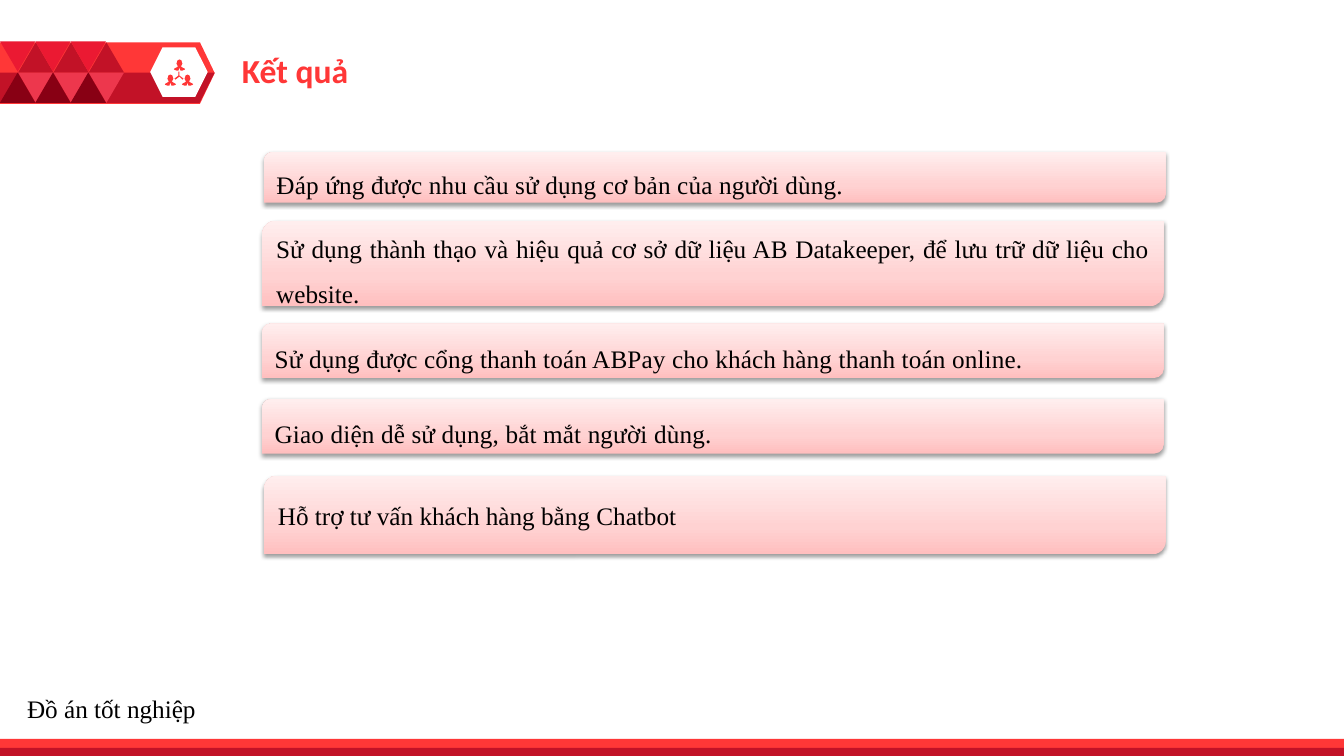
from dataclasses import dataclass
from typing import Any

from pptx import Presentation
from pptx.dml.color import RGBColor
from pptx.enum.shapes import MSO_SHAPE as Kind
from pptx.enum.text import MSO_ANCHOR as Anchor, PP_ALIGN as Align
from pptx.oxml import parse_xml
from pptx.oxml.ns import nsdecls
from pptx.util import Inches, Pt

RED = RGBColor(0xFF, 0x37, 0x37)
DARK = RGBColor(0xC2, 0x12, 0x27)
WHITE = RGBColor(0xFF, 0xFF, 0xFF)
BLACK = RGBColor(0x00, 0x00, 0x00)
CRIMSON = RGBColor(0xEB, 0x19, 0x32)
ROSE = RGBColor(0xED, 0x37, 0x4D)
MAROON = RGBColor(0x88, 0x00, 0x14)
BLUSH = {0: RGBColor(0xFF, 0xBF, 0xBF), 35: RGBColor(0xFF, 0xD2, 0xD2),
         100: RGBColor(0xFF, 0xEE, 0xEE)}

BODY = {"size": Pt(18), "name": "Times New Roman"}
HEAD = {"size": Pt(24), "name": "Calibri", "bold": True}
LOOSE = {"line_spacing": 1.5, "space_before": Pt(4), "space_after": Pt(4)}
EVEN = {**LOOSE, "alignment": Align.JUSTIFY}
LEFT = {**LOOSE, "alignment": Align.LEFT}
PLAIN = {"alignment": Align.LEFT}

Point = tuple[float, float]


@dataclass
class Box:
    left: float
    top: float
    width: float
    height: float

    def place(self) -> list[int]:
        return [Inches(v) for v in (self.left, self.top, self.width, self.height)]


@dataclass
class Tile:
    shift: float
    top: float
    color: RGBColor
    turn: int


@dataclass
class Bar:
    box: Box
    text: str
    layout: dict[str, Any]
    track: int = 0


def apply(target: Any, values: dict[str, Any]) -> None:
    for key, value in values.items():
        setattr(target, key, value)


def paint(shape: Any, color: RGBColor) -> None:
    shape.fill.solid()
    shape.fill.fore_color.rgb = color
    shape.line.fill.background()
    shape.shadow.inherit = False


def draw(shapes: Any, kind: Kind, box: Box, color: RGBColor) -> Any:
    shape = shapes.add_shape(kind, *box.place())
    paint(shape, color)
    return shape


def trace(shapes: Any, rings: list[list[Point]], color: RGBColor) -> None:
    rings = [[(Inches(x), Inches(y)) for x, y in ring] for ring in rings]
    pen = shapes.build_freeform(*rings[0][0])
    pen.add_line_segments(rings[0][1:])
    for ring in rings[1:]:
        pen.move_to(*ring[0])
        pen.add_line_segments(ring[1:])
    paint(pen.convert_to_shape(), color)


def write(frame: Any, text: str, font: dict[str, Any], color: RGBColor,
          layout: dict[str, Any]) -> Any:
    frame.word_wrap = True
    para = frame.paragraphs[0]
    apply(para, layout)
    run = para.add_run()
    run.text = text
    apply(run.font, font)
    run.font.color.rgb = color
    return run


def label(shapes: Any, box: Box, text: str, font: dict[str, Any],
          color: RGBColor) -> None:
    frame = shapes.add_textbox(*box.place()).text_frame
    write(frame, text, font, color, PLAIN)


def panel(shapes: Any, bar: Bar) -> None:
    shape = draw(shapes, Kind.ROUND_2_DIAG_RECTANGLE, bar.box, WHITE)
    # Gradient that rises from the lower edge, and a soft shadow below
    stops = "".join(f'<a:gs pos="{at * 1000}"><a:srgbClr val="{color}"/></a:gs>'
                    for at, color in BLUSH.items())
    props = shape.element.spPr
    props.replace(props.find("{*}solidFill"), parse_xml(
        f'<a:gradFill {nsdecls("a")} rotWithShape="1"><a:gsLst>{stops}</a:gsLst>'
        '<a:lin ang="16200000" scaled="0"/></a:gradFill>'))
    props.find("{*}effectLst").append(parse_xml(
        f'<a:outerShdw {nsdecls("a")} blurRad="{Pt(3.1)}" dist="{Pt(1.6)}" '
        'dir="5400000" rotWithShape="0"><a:srgbClr val="000000">'
        '<a:alpha val="38000"/></a:srgbClr></a:outerShdw>'))
    shape.text_frame.vertical_anchor = Anchor.MIDDLE
    run = write(shape.text_frame, bar.text, BODY, BLACK, bar.layout)
    if bar.track:
        run.font._element.set("spc", str(bar.track))


# Network icon: right half of a person, mirrored, and a three-way joint
HALF = [(0, 0), (0.02, 0.01), (0.025, 0.03), (0.03, 0.04), (0.02, 0.06),
        (0.015, 0.07), (0.03, 0.08), (0.05, 0.09), (0.055, 0.1),
        (0.03, 0.11), (0.01, 0.11), (0, 0.08)]
MATES = [(1.78, 0.59), (1.69, 0.74), (1.86, 0.74)]
JOINT = [(1.77, 0.71), (1.78, 0.71), (1.78, 0.75), (1.82, 0.78), (1.81, 0.79),
         (1.78, 0.76), (1.74, 0.79), (1.73, 0.78), (1.77, 0.75)]

# Triangles of one column of the banner
SIDE, STEP = 0.35, 0.35
TILES = [Tile(0, 0.41, CRIMSON, 180), Tile(0.18, 0.42, DARK, 0),
         Tile(0.18, 0.72, ROSE, 180), Tile(0, 0.72, MAROON, 0)]

BARS = [
    Bar(Box(2.62, 1.51, 8.94, 0.5),
        "Đáp ứng được nhu cầu sử dụng cơ bản của người dùng.", LEFT, 10),
    Bar(Box(2.6, 2.19, 8.94, 0.85),
        "Sử dụng thành thạo và hiệu quả cơ sở dữ liệu AB Datakeeper, "
        "để lưu trữ dữ liệu cho website.", EVEN),
    Bar(Box(2.6, 3.21, 8.94, 0.54),
        "Sử dụng được cổng thanh toán ABPay cho khách hàng thanh toán online.",
        EVEN, 10),
    Bar(Box(2.6, 3.96, 8.94, 0.54),
        "Giao diện dễ sử dụng, bắt mắt người dùng.", EVEN, 10),
    Bar(Box(2.62, 4.72, 8.94, 0.78),
        "Hỗ trợ tư vấn khách hàng bằng Chatbot", PLAIN),
]


def banner(shapes: Any) -> None:
    plate = draw(shapes, Kind.PENTAGON, Box(0, 0.42, 2.13, 0.61), RED)
    plate.adjustments[0] = 0.24
    trace(shapes, [[(0, 0.72), (2.13, 0.72), (1.98, 1.02), (0, 1.02)]], DARK)
    draw(shapes, Kind.HEXAGON, Box(1.49, 0.47, 0.57, 0.49), WHITE)
    mates = [[(x + dx, y + dy) for dx, dy in HALF]
             + [(x - dx, y + dy) for dx, dy in HALF[-2:0:-1]] for x, y in MATES]
    trace(shapes, [*mates, JOINT], RED)
    for col in range(3):
        for tile in TILES:
            box = Box(col * STEP + tile.shift, tile.top, SIDE, 0.3)
            draw(shapes, Kind.ISOSCELES_TRIANGLE, box, tile.color).rotation = tile.turn


def main() -> None:
    deck = Presentation()
    deck.slide_width, deck.slide_height = Inches(13.33), Inches(7.5)
    shapes = deck.slides.add_slide(deck.slide_layouts[6]).shapes

    # Header and footer
    banner(shapes)
    draw(shapes, Kind.RECTANGLE, Box(0, 7.33, 13.33, 0.16), RED)
    draw(shapes, Kind.RECTANGLE, Box(0, 7.42, 13.33, 0.08), DARK)
    label(shapes, Box(2.3, 0.45, 4.22, 0.5), "Kết quả", HEAD, RED)
    label(shapes, Box(0.17, 6.83, 2.83, 0.4), "Đồ án tốt nghiệp", BODY, BLACK)

    # Results
    for bar in BARS:
        panel(shapes, bar)

    deck.save("out.pptx")


if __name__ == "__main__":
    main()
